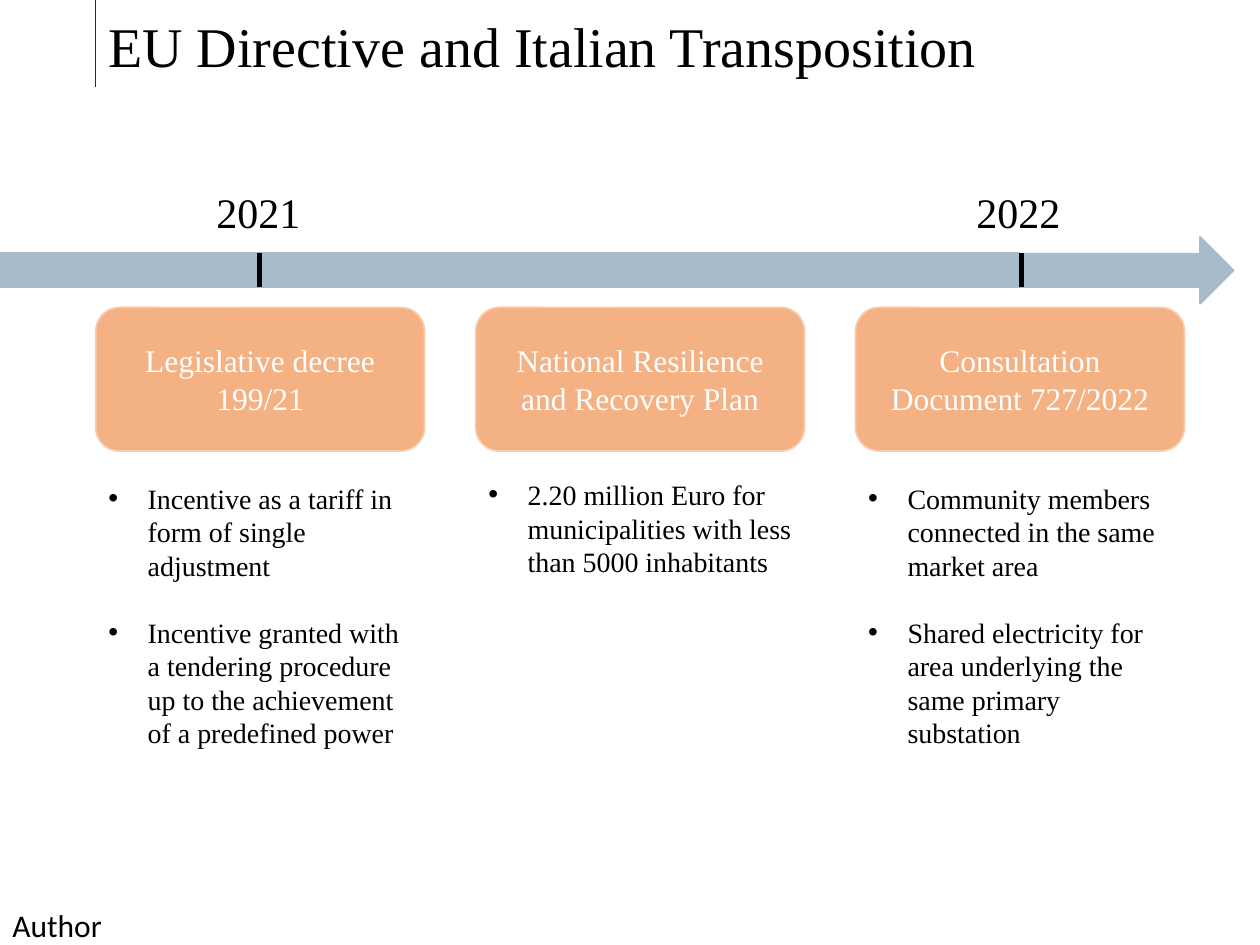
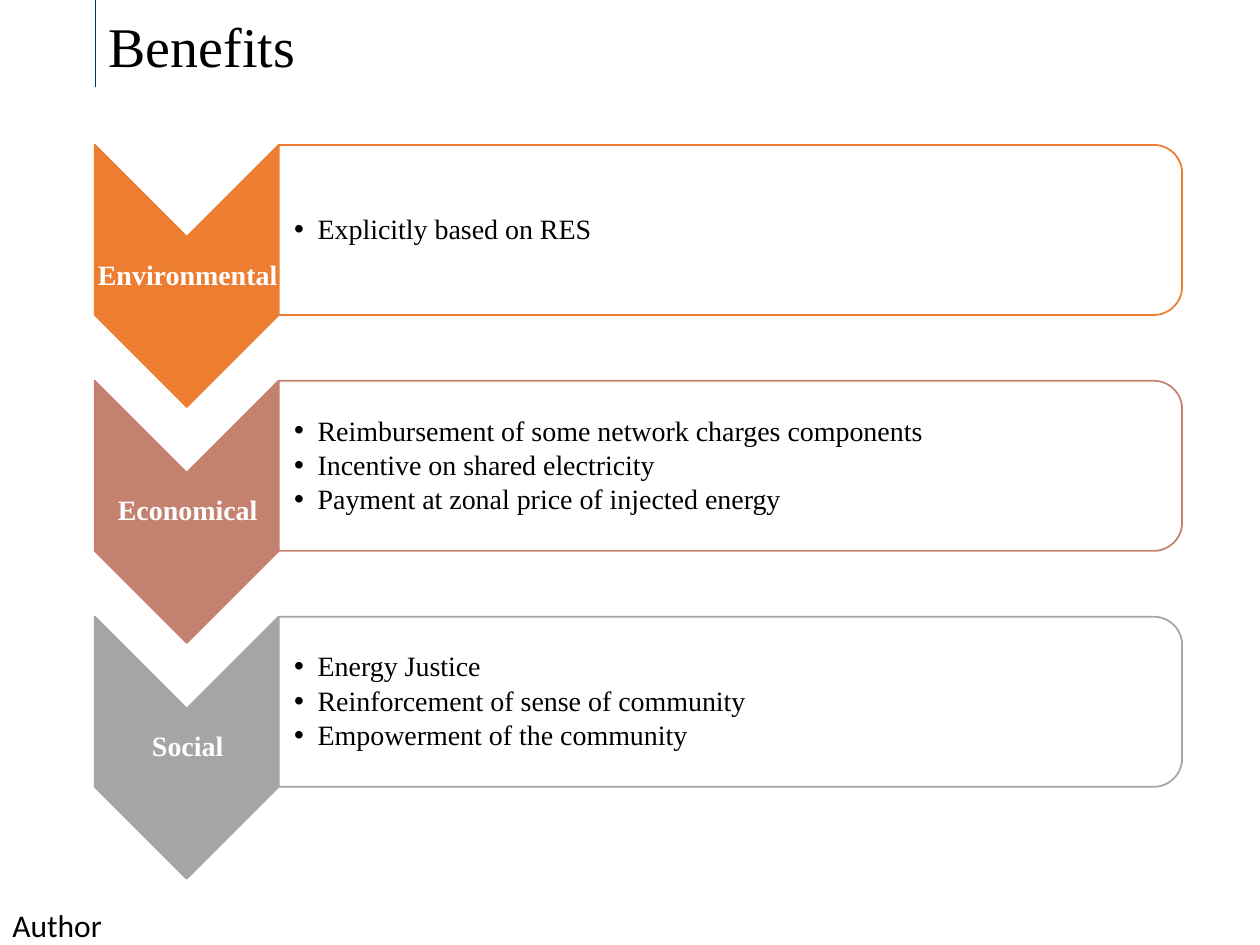
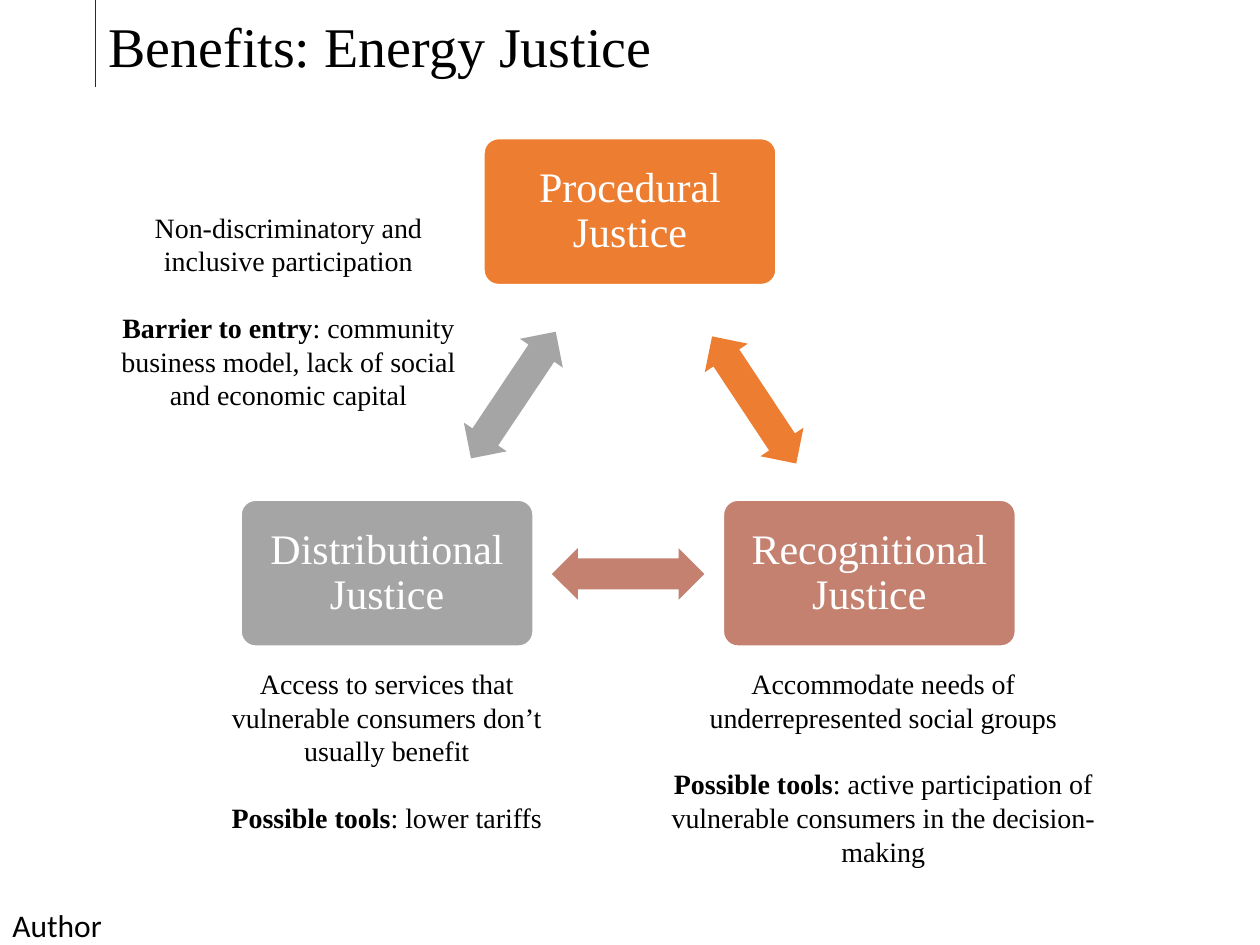
"""Build three slides on energy communities: law, benefits and justice."""
from dataclasses import dataclass
from typing import NamedTuple

from lxml.etree import SubElement
from pptx import Presentation
from pptx.dml.color import RGBColor
from pptx.enum.shapes import MSO_CONNECTOR, MSO_SHAPE
from pptx.enum.text import MSO_ANCHOR, MSO_AUTO_SIZE, PP_ALIGN
from pptx.oxml.ns import qn
from pptx.presentation import Presentation as Deck
from pptx.shapes.autoshape import Shape
from pptx.shapes.connector import Connector
from pptx.slide import Slide
from pptx.text.text import TextFrame, _Paragraph as Para
from pptx.util import Pt


@dataclass(frozen=True)
class Theme:
    """Colours, fonts and type sizes of the deck."""
    black: str = "000000"
    white: str = "FFFFFF"
    navy: str = "003366"
    steel: str = "A8BBCB"
    peach: str = "F4B183"
    blush: str = "F8CBAD"
    orange: str = "ED7D31"
    rose: str = "C48170"
    grey: str = "A5A5A5"
    serif: str = "Times New Roman"
    sans: str = "Calibri"
    title: int = 32
    head: int = 24
    label: int = 18
    body: int = 16


THEME = Theme()
EDGE = 54.7


class Box(NamedTuple):
    """A place on the slide, in points."""
    left: float
    top: float
    width: float
    height: float


@dataclass(frozen=True)
class Look:
    """The way a paragraph is set."""
    size: int = THEME.body
    color: str = THEME.black
    font: str = THEME.serif
    align: PP_ALIGN = PP_ALIGN.LEFT
    bold: bool = False
    lead: float = 1.0
    gap: float = 0
    after: float = 0
    indent: float = 0


TITLE = Look(THEME.title)
YEAR = Look(THEME.head)
FOOTER = Look(THEME.label, font=THEME.sans)
DECREE = Look(THEME.label, THEME.white, align=PP_ALIGN.CENTER)
POINTS = Look(gap=19, indent=22.5)
TAG = Look(color=THEME.white, align=PP_ALIGN.CENTER, bold=True, lead=0.9)
GAINS = Look(lead=0.9, after=2.4, indent=13.5)
CARD = Look(THEME.head, THEME.white, align=PP_ALIGN.CENTER, lead=0.9)
NOTE = Look(align=PP_ALIGN.CENTER, gap=19)


class Law(NamedTuple):
    """A rule on the timeline with its list."""
    name: str
    top: float
    height: float
    items: tuple[str, ...]


class Mark(NamedTuple):
    """A year on the timeline."""
    year: str
    left: float
    tick: float


class Gain(NamedTuple):
    """A kind of benefit with its list."""
    name: str
    color: str
    items: tuple[str, ...]


class Pillar(NamedTuple):
    """A form of justice with its card, arrow and note."""
    name: str
    color: str
    left: float
    top: float
    arrow: Box
    turn: float
    note: Box
    text: str
    term: str
    rest: str


LAWS = (
    Law("Legislative decree 199/21", 271.4, 162.7,
        ("Incentive as a tariff in form of single adjustment",
         "Incentive granted with a tendering procedure up to the "
         "achievement of a predefined power")),
    Law("National Resilience and Recovery Plan", 269.3, 85,
        ("2.20 million Euro for municipalities with less than "
         "5000 inhabitants",)),
    Law("Consultation Document 727/2022", 271.4, 162.7,
        ("Community members connected in the same market area",
         "Shared electricity for area underlying the same primary "
         "substation")),
)
MARKS = (Mark("2021", 116.6, 148.3), Mark("2022", 550.8, 583.9))
GAINS_LIST = (
    Gain("Environmental", THEME.orange, ("Explicitly based on RES",)),
    Gain("Economical", THEME.rose,
         ("Reimbursement of some network charges components",
          "Incentive on shared electricity",
          "Payment at zonal price of injected energy")),
    Gain("Social", THEME.grey,
         ("Energy Justice", "Reinforcement of sense of community",
          "Empowerment of the community")),
)
PILLARS = (
    Pillar("Procedural Justice", THEME.orange, 276.5, 79.2,
           Box(387.4, 213.8, 87.1, 29.5), 56.5,
           Box(EDGE, 116.6, 220.3, 123.8),
           "Non-discriminatory and inclusive participation",
           "Barrier to entry",
           ": community business model, lack of social and economic "
           "capital"),
    Pillar("Recognitional Justice", THEME.rose, 413.3, 285.8,
           Box(315.4, 313.2, 87.1, 29.5), 180,
           Box(376.6, 377.3, 256.3, 123.8),
           "Accommodate needs of underrepresented social groups",
           "Possible tools",
           ": active participation of vulnerable consumers in the "
           "decision-making"),
    Pillar("Distributional Justice", THEME.grey, 137.7, 285.8,
           Box(249.8, 211, 87.1, 29.5), 303.8,
           Box(110.9, 377.3, 220.3, 104.4),
           "Access to services that vulnerable consumers don’t "
           "usually benefit",
           "Possible tools", ": lower tariffs"),
)


def style(para: Para, look: Look) -> None:
    """Format a paragraph and its runs."""
    para.alignment = look.align
    para.line_spacing = look.lead
    para.space_before, para.space_after = Pt(0), Pt(look.after)
    props = para._p.get_or_add_pPr()
    props.set("marL", str(Pt(look.indent)))
    props.set("indent", str(-Pt(look.indent)))
    if look.indent:
        SubElement(props, qn("a:buFont")).set("typeface", "Arial")
        SubElement(props, qn("a:buChar")).set("char", "•")
    for run in para.runs:
        run.font.name, run.font.size = look.font, Pt(look.size)
        run.font.bold = look.bold
        run.font.color.rgb = RGBColor.from_string(look.color)


def write(frame: TextFrame, text: str, look: Look,
          anchor: MSO_ANCHOR = MSO_ANCHOR.TOP) -> None:
    """Fill a frame with styled paragraphs, one per line."""
    frame.text = text
    frame.word_wrap, frame.auto_size = True, MSO_AUTO_SIZE.NONE
    frame.vertical_anchor = anchor
    for rank, para in enumerate(frame.paragraphs):
        style(para, look)
        if rank:
            para.space_before = Pt(look.gap)


def inset(frame: TextFrame, left: float, other: float) -> None:
    """Set the inner margins of a frame."""
    frame.margin_left = Pt(left)
    frame.margin_top = frame.margin_right = frame.margin_bottom = Pt(other)


def place(shape: Shape, box: Box) -> None:
    """Move and size a shape."""
    shape.left, shape.top, shape.width, shape.height = map(Pt, box)


def label(slide: Slide, box: Box, text: str, look: Look,
          anchor: MSO_ANCHOR = MSO_ANCHOR.TOP) -> Shape:
    """Add a text box."""
    shape = slide.shapes.add_textbox(*map(Pt, box))
    write(shape.text_frame, text, look, anchor)
    return shape


def block(slide: Slide, kind: MSO_SHAPE, box: Box, fill: str,
          edge: str = "", turn: float = 0) -> Shape:
    """Add a filled shape, outlined when an edge colour is given."""
    shape = slide.shapes.add_shape(kind, *map(Pt, box))
    shape.shadow.inherit = False
    shape.rotation = turn
    shape.fill.solid()
    shape.fill.fore_color.rgb = RGBColor.from_string(fill)
    if edge:
        shape.line.color.rgb = RGBColor.from_string(edge)
        shape.line.width = Pt(1)
    else:
        shape.line.fill.background()
    return shape


def rule(slide: Slide, left: float, top: float, end: float,
         color: str, width: float) -> Connector:
    """Add an upright line."""
    line = slide.shapes.add_connector(
        MSO_CONNECTOR.STRAIGHT, Pt(left), Pt(top), Pt(left), Pt(end))
    line.line.color.rgb = RGBColor.from_string(color)
    line.line.width = Pt(width)
    SubElement(line._element.spPr, qn("a:effectLst"))
    return line


def bullets(slide: Slide, rank: int, box: Box, items: tuple[str, ...],
            look: Look, anchor: MSO_ANCHOR = MSO_ANCHOR.TOP) -> Shape:
    """Fill a body placeholder with a list and bring it to the front."""
    shape = slide.placeholders[rank]
    place(shape, box)
    write(shape.text_frame, "\n".join(items), look, anchor)
    slide.shapes._spTree.append(shape._element)
    return shape


def start(deck: Deck, layout: int, title: str) -> Slide:
    """Add a slide with its title."""
    slide = deck.slides.add_slide(deck.slide_layouts[layout])
    place(slide.shapes.title, Box(EDGE, 2.9, 665.3, 46.1))
    write(slide.shapes.title.text_frame, title, TITLE, MSO_ANCHOR.MIDDLE)
    return slide


def start_lists(deck: Deck, title: str) -> Slide:
    """Add a slide with a title and three list placeholders."""
    slide = start(deck, 4, title)
    spare = slide.placeholders[4]._element
    spare.getparent().remove(spare)
    return slide


def brand(deck: Deck, slide: Slide) -> None:
    """Put the title rule and the footer on the master."""
    parts = (rule(slide, EDGE, 49.7, 0, THEME.navy, 0.75),
             label(slide, Box(0, 514.1, 298.8, 28.8), "Author", FOOTER))
    for part in parts:
        deck.slide_master.shapes._spTree.append(part._element)


def draw_laws(slide: Slide) -> None:
    """Draw the timeline of laws."""
    band = Box(0, 144.7, 582.5, 19.4)
    block(slide, MSO_SHAPE.RECTANGLE, band, THEME.steel, THEME.steel)
    block(slide, MSO_SHAPE.RIGHT_ARROW, Box(582.5, 135.4, 122.4, 38.2),
          THEME.steel, THEME.steel)
    for mark in MARKS:
        label(slide, Box(mark.left, 103, 64.1, 36), mark.year, YEAR)
        rule(slide, mark.tick, band.top, band.top + band.height,
             THEME.black, 3)
    for rank, law in enumerate(LAWS):
        left = EDGE + 217.1 * rank
        card = block(slide, MSO_SHAPE.ROUNDED_RECTANGLE,
                     Box(left, 175.7, 187.9, 82.1), THEME.peach, THEME.blush)
        write(card.text_frame, law.name, DECREE, MSO_ANCHOR.MIDDLE)
        bullets(slide, rank + 1, Box(left, law.top, 187.9, law.height),
                law.items, POINTS)


def draw_gains(slide: Slide) -> None:
    """Draw the rows of benefits."""
    for rank, gain in enumerate(GAINS_LIST):
        top = 134.8 * rank
        block(slide, MSO_SHAPE.CHEVRON, Box(31.8, top + 105.1, 149.8, 105.1),
              gain.color, gain.color, 90)
        tag = label(slide, Box(EDGE, top + 135.4, 105.1, 44.6), gain.name,
                    TAG, MSO_ANCHOR.MIDDLE)
        inset(tag.text_frame, 0.7, 0.7)
        block(slide, MSO_SHAPE.ROUND_2_SAME_RECTANGLE,
              Box(368.8, top - 126.7, 97.2, 516.2), THEME.white,
              gain.color, 90)
        body = bullets(slide, rank + 1, Box(159.1, top + 87.8, 511.2, 87.8),
                       gain.items, GAINS, MSO_ANCHOR.MIDDLE)
        inset(body.text_frame, 8.9, 0.7)


def draw_pillars(slide: Slide) -> None:
    """Draw the triangle of justice."""
    for pillar in PILLARS:
        card = block(slide, MSO_SHAPE.ROUNDED_RECTANGLE,
                     Box(pillar.left, pillar.top, 167, 83.5),
                     pillar.color, THEME.white)
        card.adjustments[0] = 0.1
        write(card.text_frame, pillar.name, CARD, MSO_ANCHOR.MIDDLE)
        inset(card.text_frame, 7.2, 7.2)
        arrow = block(slide, MSO_SHAPE.LEFT_RIGHT_ARROW, pillar.arrow,
                      pillar.color, turn=pillar.turn)
        arrow.adjustments[0], arrow.adjustments[1] = 0.6, 0.5
        note = label(slide, pillar.note, f"{pillar.text}\n{pillar.term}", NOTE)
        last = note.text_frame.paragraphs[-1]
        last.add_run().text = pillar.rest
        style(last, NOTE)
        last.space_before = Pt(NOTE.gap)
        last.runs[0].font.bold = True


def main() -> None:
    """Build and save the deck."""
    deck = Presentation()
    deck.slide_width, deck.slide_height = Pt(720), Pt(540)
    laws = start_lists(deck, "EU Directive and Italian Transposition")
    brand(deck, laws)
    draw_laws(laws)
    draw_gains(start_lists(deck, "Benefits"))
    draw_pillars(start(deck, 5, "Benefits: Energy Justice"))
    deck.save("out.pptx")


if __name__ == "__main__":
    main()
